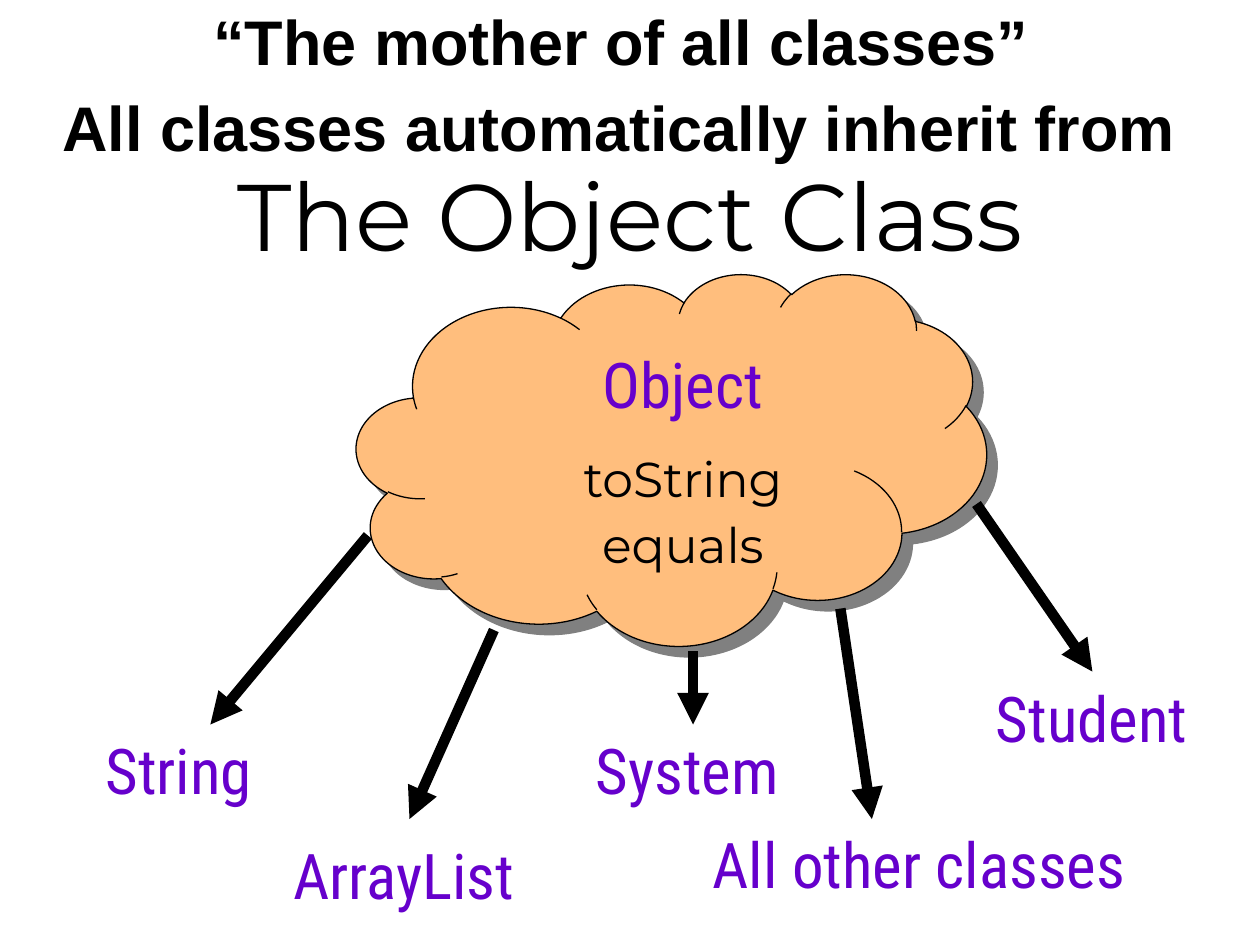
from copy import deepcopy

from lxml import etree
from pptx import Presentation
from pptx import util as u
from pptx.dml.color import RGBColor
from pptx.enum import shapes, text
from pptx.oxml import parse_xml
from pptx.oxml.ns import nsdecls, qn

BLACK = "000000"
LABELS = [
    ("Object", 3.92, 2.69, 3, 0.74),
    ("ArrayList", 2.08, 6.59, 2.25, 0.66),
    ("String", 0.67, 5.76, 1.5, 0.66),
    ("Student", 7.75, 5.34, 1.83, 0.66),
    ("All other classes", 5.42, 6.5, 3.75, 0.75),
    ("System", 4.58, 5.76, 1.75, 0.66),
]
ARROWS = [
    (2.92, 4.25, 1.67, 5.75),
    (3.92, 5, 3.25, 6.5),
    (7.75, 4, 8.67, 5.33),
    (5.5, 5.17, 5.5, 5.75),
    (6.67, 4.83, 6.92, 6.5),
]


def inches(*nums):
    return [u.Inches(n) for n in nums]


def color(code):
    return RGBColor.from_string(code)


def add_run(par, words, size, face, bold=False):
    run = par.add_run()
    run.text = words
    run.font.size = u.Pt(size)
    run.font.name = face
    run.font.bold = bold
    run.font.fill.solid()
    run.font.fill.fore_color.rgb = color(BLACK)
    return run


def add_break(par, run):
    """Break the line, with the break set in the same font as the run."""
    par.add_line_break()
    par._p[-1].append(deepcopy(run._r.rPr))


def set_title(slide):
    title = slide.shapes.title
    title.left, title.top, title.width, title.height = inches(0, 0, 10, 2.25)
    frame = title.text_frame
    frame.auto_size = text.MSO_AUTO_SIZE.NONE
    frame.vertical_anchor = text.MSO_ANCHOR.MIDDLE
    par = frame.paragraphs[0]
    par.alignment = text.PP_ALIGN.CENTER
    par.line_spacing = 0.9
    add_break(par, add_run(par, "“The mother of all classes” ", 36, "Arial", True))
    add_run(par, "All classes automatically inherit from", 36, "Arial", True)
    add_break(par, add_run(par, " ", 48, "Montserrat"))
    add_run(par, "The Object Class", 54, "Montserrat")


def add_cloud(slide):
    cloud = slide.shapes.add_shape(
        shapes.MSO_SHAPE.CLOUD, *inches(2.83, 2.17, 5, 2.95))
    cloud.fill.solid()
    cloud.fill.fore_color.rgb = color("FFBE7D")
    cloud.line.color.rgb = color(BLACK)
    cloud.line.width = u.Pt(0.75)
    cloud.shadow.inherit = False
    effects = cloud._element.spPr.find(qn("a:effectLst"))
    effects.append(parse_xml(
        f'<a:outerShdw {nsdecls("a")} dist="{u.Pt(8.5)}" dir="2700000" '
        'algn="ctr" rotWithShape="0"><a:srgbClr val="808080"/></a:outerShdw>'))


def add_label(slide, words, *place):
    frame = slide.shapes.add_textbox(*inches(*place)).text_frame
    frame.word_wrap = False
    par = frame.paragraphs[0]
    par.alignment = text.PP_ALIGN.CENTER
    run = add_run(par, words, 36, "Roboto Condensed")
    fill = run.font.fill
    fill.gradient()
    fill.gradient_angle = 270
    for stop, code in zip(fill.gradient_stops, ("6600CC", "CC00CC")):
        stop.color.rgb = color(code)
    run._r.rPr.insert(0, parse_xml(
        f'<a:ln {nsdecls("a")} w="{u.Pt(0.75)}"><a:solidFill>'
        '<a:srgbClr val="CC99FF"/></a:solidFill></a:ln>'))


def add_methods(slide):
    frame = slide.shapes.add_textbox(*inches(4.17, 3.6, 2.5, 0.99)).text_frame
    frame.word_wrap = True
    first, second = frame.paragraphs[0], frame.add_paragraph()
    for par, words, gap in ((first, "toString", 0.8), (second, "equals", 0.6)):
        par.alignment = text.PP_ALIGN.CENTER
        par.line_spacing = gap
        add_run(par, words, 28, "Montserrat")
    second.space_before = u.Pt(16)


def add_arrow(group, *ends):
    arrow = group.shapes.add_connector(
        shapes.MSO_CONNECTOR.STRAIGHT, *inches(*ends))
    arrow.line.color.rgb = color(BLACK)
    arrow.line.width = u.Pt(6)
    etree.SubElement(arrow.line._get_or_add_ln(), qn("a:tailEnd"), type="triangle")
    etree.SubElement(arrow._element.spPr, qn("a:effectLst"))


def main():
    deck = Presentation()
    deck.slide_width, deck.slide_height = inches(10, 7.5)
    slide = deck.slides.add_slide(deck.slide_layouts[5])
    set_title(slide)
    add_cloud(slide)
    add_methods(slide)
    for label in LABELS:
        add_label(slide, *label)
    group = slide.shapes.add_group_shape()
    for ends in ARROWS:
        add_arrow(group, *ends)
    deck.save("out.pptx")


if __name__ == "__main__":
    main()
